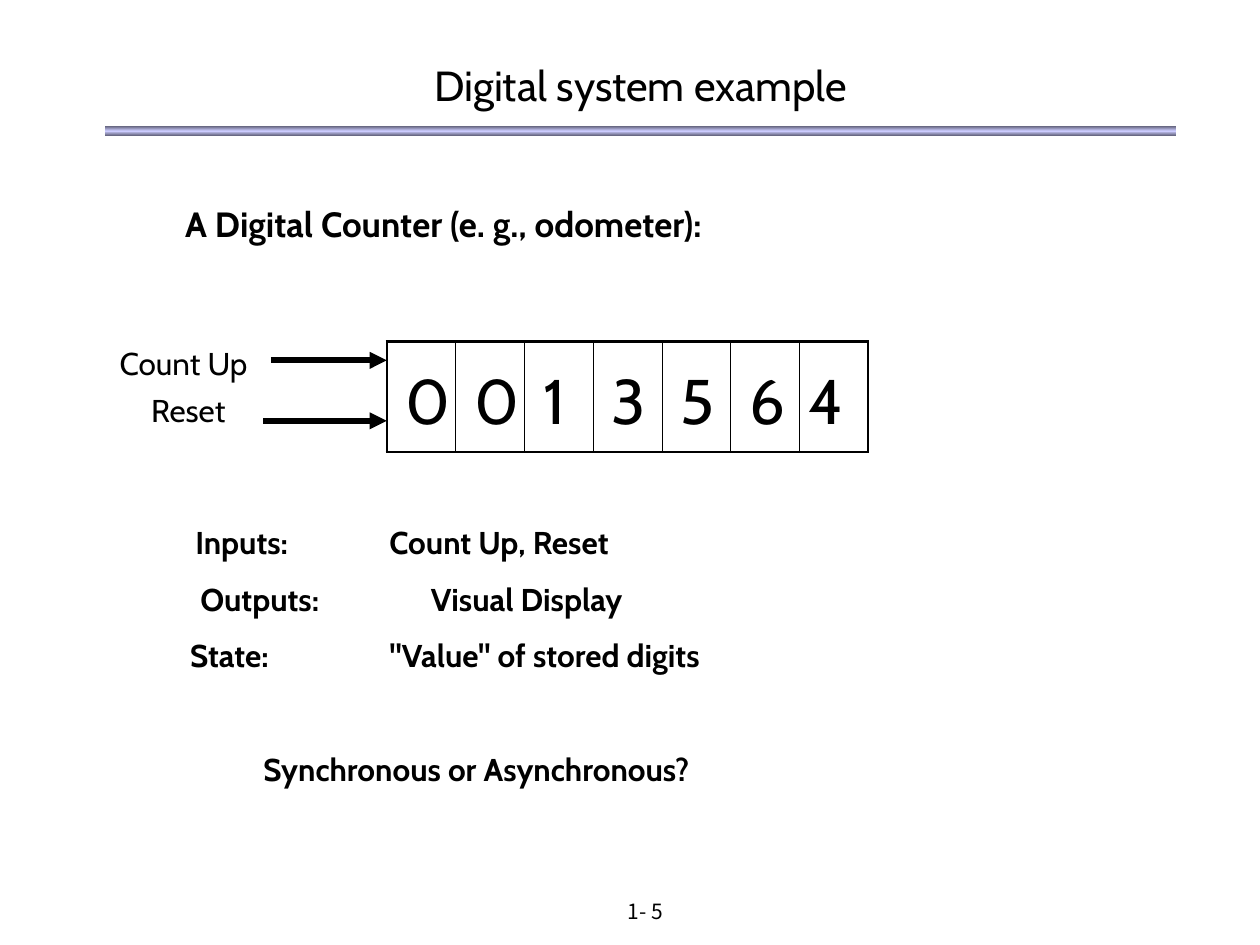
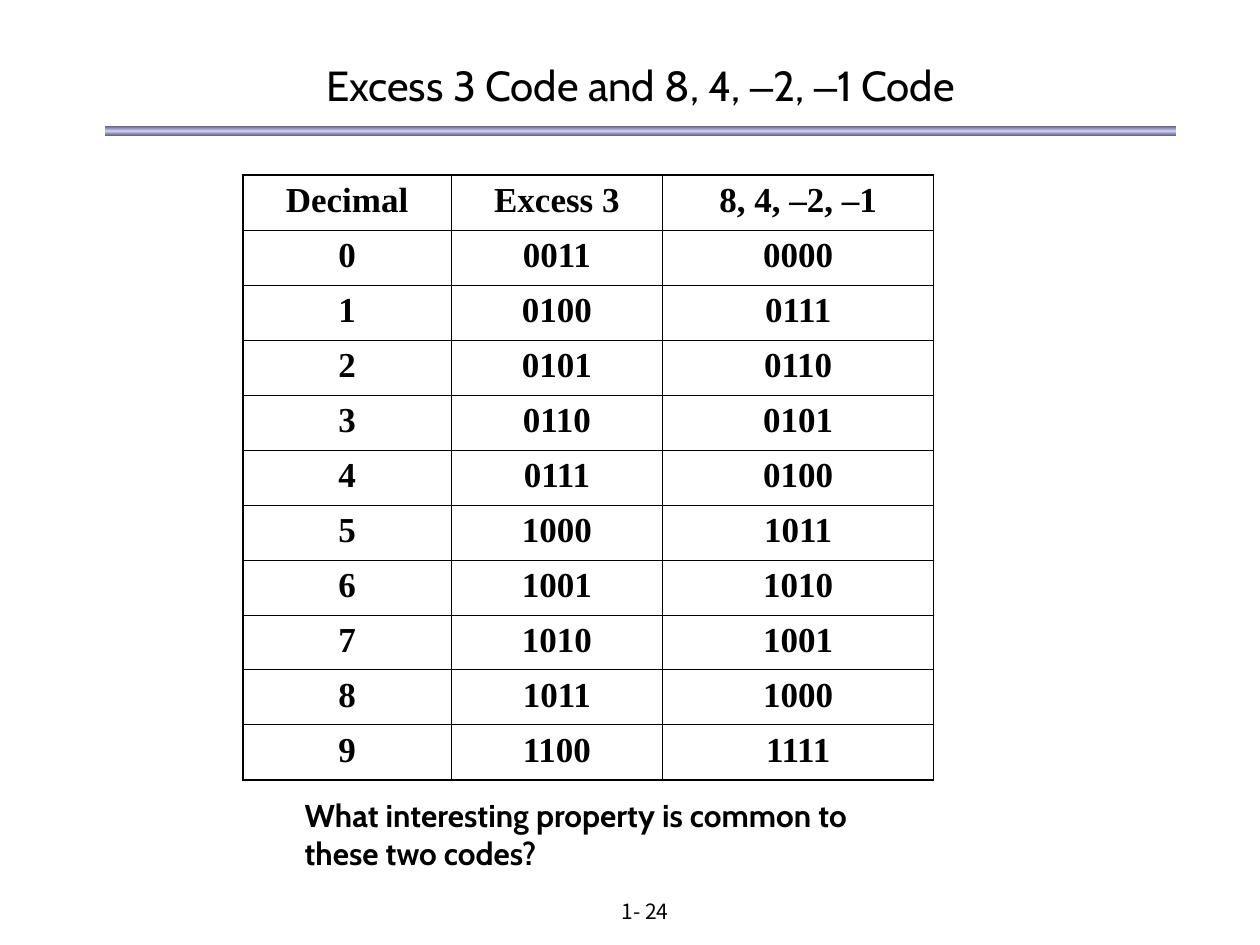
from copy import deepcopy

from lxml import etree
from pptx import Presentation
from pptx.dml.color import RGBColor
from pptx.enum.shapes import MSO_CONNECTOR, MSO_SHAPE
from pptx.enum.text import MSO_ANCHOR, MSO_AUTO_SIZE, PP_ALIGN
from pptx.oxml.ns import qn
from pptx.util import Inches, Pt

BLACK = RGBColor(0x00, 0x00, 0x00)
BAND_EDGE = RGBColor(0x5E, 0x5E, 0x76)
BAND_CENTRE = RGBColor(0xCC, 0xCC, 0xFF)
FONT = "Cabin"
DASH_FONT = "Arial"
TABLE_FONT = "Times New Roman"
FOOTER_FONT = "Noto Sans CJK KR"
CENTER = PP_ALIGN.CENTER
MIDDLE = MSO_ANCHOR.MIDDLE
TITLE_ONLY_LAYOUT = 5

SLIDE_WIDTH, SLIDE_HEIGHT = 10, 7.5
MARGIN = SLIDE_WIDTH / 12
CONTENT_WIDTH = 0.85 * SLIDE_WIDTH


def add_text(slide, text, left, top, width, height, size=18, bold=False, inset=True):
    """Add a one-paragraph text box, measured in inches, and return its shape."""
    shape = slide.shapes.add_textbox(Inches(left), Inches(top), Inches(width), Inches(height))
    frame = shape.text_frame
    frame.word_wrap = True
    if not inset:
        frame.margin_left = frame.margin_right = frame.margin_top = frame.margin_bottom = 0
    run = frame.paragraphs[0].add_run()
    run.text = text
    run.font.name, run.font.size, run.font.bold = FONT, Pt(size), bold
    run.font.color.rgb = BLACK
    return shape


def style_table(table, outer, inner):
    """Clear the banded style and draw outer and inner borders, widths in points."""
    table.first_row = table.horz_banding = False
    last_row, last_column = len(table.rows) - 1, len(table.columns) - 1
    for row_index, row in enumerate(table.rows):
        for column_index, cell in enumerate(row.cells):
            cell.fill.background()
            properties = cell._tc.get_or_add_tcPr()
            on_edge = {"lnL": column_index == 0, "lnR": column_index == last_column,
                       "lnT": row_index == 0, "lnB": row_index == last_row}
            for position, (side, is_outer) in enumerate(on_edge.items()):
                border = etree.Element(qn(f"a:{side}"), w=str(Pt(outer if is_outer else inner)))
                fill = etree.SubElement(border, qn("a:solidFill"))
                etree.SubElement(fill, qn("a:srgbClr"), val=str(BLACK))
                properties.insert(position, border)


presentation = Presentation()
presentation.slide_width = Inches(SLIDE_WIDTH)
presentation.slide_height = Inches(SLIDE_HEIGHT)

# Title, band and page number of every slide
title_runs = [
    [("Digital system example", FONT)],
    [("Excess 3 Code and 8, 4, ", FONT), ("–", DASH_FONT), ("2, ", FONT),
     ("–", DASH_FONT), ("1 Code", FONT)],
]
for runs, page_number in zip(title_runs, ("1- 5", "1- 24")):
    slide = presentation.slides.add_slide(presentation.slide_layouts[TITLE_ONLY_LAYOUT])
    band = slide.shapes.add_shape(MSO_SHAPE.RECTANGLE, Inches(MARGIN), Inches(1),
                                  Inches(CONTENT_WIDTH), Inches(0.08))
    band.shadow.inherit = False
    band.line.fill.background()
    band.fill.gradient()
    band.fill.gradient_angle = 90
    stop_list = band._element.spPr.find(qn("a:gradFill")).find(qn("a:gsLst"))
    stop_list.insert(1, deepcopy(stop_list[0]))
    for stop, position, color in zip(band.fill.gradient_stops, (0, 0.5, 1),
                                     (BAND_EDGE, BAND_CENTRE, BAND_EDGE)):
        stop.position = position
        stop.color.rgb = color

    title = slide.shapes.title
    title.left, title.top = Inches(MARGIN), Inches(0.44)
    title.width, title.height = Inches(CONTENT_WIDTH), Inches(0.47)
    title.text_frame.auto_size = MSO_AUTO_SIZE.NONE
    title.text_frame.vertical_anchor = MIDDLE
    paragraph = title.text_frame.paragraphs[0]
    paragraph.alignment = CENTER
    for text, font_name in runs:
        run = paragraph.add_run()
        run.text = text
        run.font.name, run.font.size = font_name, Pt(24)
        run.font.color.rgb = BLACK

    footer = add_text(slide, page_number, 4.08, 7.08, 2.08, 0.25, size=12)
    footer.text_frame.paragraphs[0].alignment = CENTER
    footer.text_frame.paragraphs[0].runs[0].font.name = FOOTER_FONT

counter_slide, code_slide = presentation.slides

# Slide 1: odometer with its two input arrows
DIGITS = "0013564"
COUNTER_LEFT, COUNTER_TOP, COUNTER_WIDTH, COUNTER_HEIGHT = 3.07, 2.71, 3.82, 0.88
digit_pitch = COUNTER_WIDTH / len(DIGITS)
add_text(counter_slide, "A Digital Counter (e. g., odometer):", 1.47, 1.61, 4.82, 0.33,
         size=20, bold=True, inset=False)
counter = counter_slide.shapes.add_table(
    1, len(DIGITS), Inches(COUNTER_LEFT), Inches(COUNTER_TOP),
    Inches(COUNTER_WIDTH), Inches(COUNTER_HEIGHT)).table
style_table(counter, outer=1.47, inner=0.23)

for index, digit in enumerate(DIGITS):
    nudge = 0.07 if index == len(DIGITS) - 1 else 0.15
    digit_box = add_text(counter_slide, digit, COUNTER_LEFT + index * digit_pitch + nudge,
                         2.87, 0.29, 0.6, size=36, inset=False)
    digit_box.text_frame.vertical_anchor = MIDDLE

for label, left, top, width, arrow_left, arrow_y in (
        ("Count Up", 0.95, 2.73, 1.11, 2.15, 2.86),
        ("Reset", 1.2, 3.1, 0.65, 2.09, 3.34)):
    add_text(counter_slide, label, left, top, width, 0.3, inset=False)
    arrow = counter_slide.shapes.add_connector(
        MSO_CONNECTOR.STRAIGHT, Inches(arrow_left), Inches(arrow_y),
        Inches(COUNTER_LEFT), Inches(arrow_y))
    arrow.line.color.rgb = BLACK
    arrow.line.width = Pt(3.25)
    etree.SubElement(arrow.line._get_or_add_ln(), qn("a:tailEnd"), type="triangle")
    etree.SubElement(arrow._element.spPr, qn("a:effectLst"))

# Slide 1: description of the counter
FACTS_TOP, FACT_PITCH = 4.15, 0.45
facts = [
    ("Inputs:", 1.55, "Count Up, Reset", 3.09),
    ("Outputs:", 1.59, "Visual Display", 3.42),
    ("State:", 1.51, "\"Value\" of stored digits", 3.09),
]
for index, (name, name_left, value, value_left) in enumerate(facts):
    top = FACTS_TOP + index * FACT_PITCH
    add_text(counter_slide, name, name_left, top, 1.1, 0.3, bold=True, inset=False)
    add_text(counter_slide, value, value_left, top, 2.95, 0.3, bold=True, inset=False)
add_text(counter_slide, "Synchronous or Asynchronous?", 2.09, FACTS_TOP + 4 * FACT_PITCH,
         3.9, 0.3, bold=True, inset=False)

# Slide 2: code table
code_rows = [
    ("Decimal", "Excess 3", "8, 4, –2, –1"),
    ("0", "0011", "0000"),
    ("1", "0100", "0111"),
    ("2", "0101", "0110"),
    ("3", "0110", "0101"),
    ("4", "0111", "0100"),
    ("5", "1000", "1011"),
    ("6", "1001", "1010"),
    ("7", "1010", "1001"),
    ("8", "1011", "1000"),
    ("9", "1100", "1111"),
]
code_widths = (1.65, 1.68, 2.15)
code_table = code_slide.shapes.add_table(
    len(code_rows), len(code_widths), Inches(1.93), Inches(1.39),
    Inches(sum(code_widths)), Inches(4.8)).table
for column, width in zip(code_table.columns, code_widths):
    column.width = Inches(width)
for row, texts in zip(code_table.rows, code_rows):
    for cell, text in zip(row.cells, texts):
        paragraph = cell.text_frame.paragraphs[0]
        paragraph.alignment = CENTER
        run = paragraph.add_run()
        run.text = text
        run.font.name, run.font.size, run.font.bold = TABLE_FONT, Pt(20), True
        run.font.color.rgb = BLACK
style_table(code_table, outer=1.08, inner=0.45)

add_text(code_slide, "What interesting property is common to these two codes?",
         2.32, 6.27, 5, 0.7, bold=True)

presentation.save("out.pptx")
